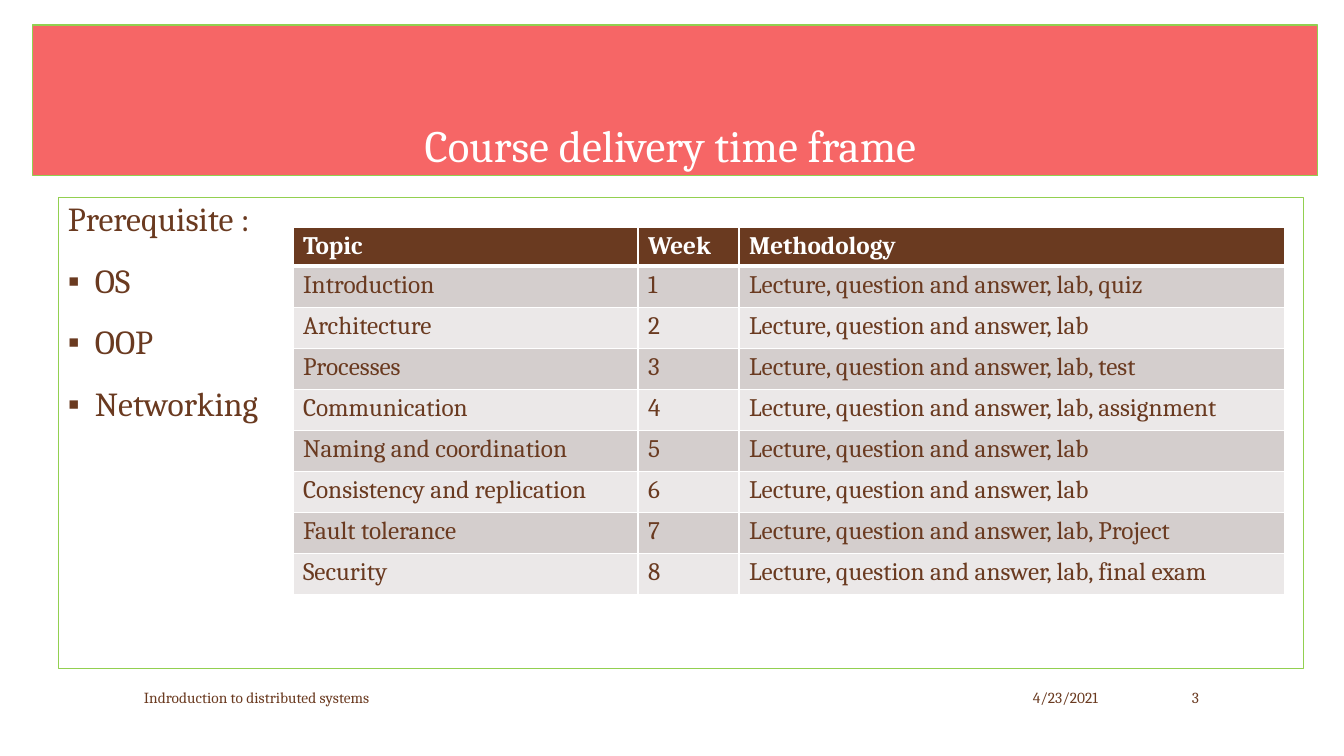
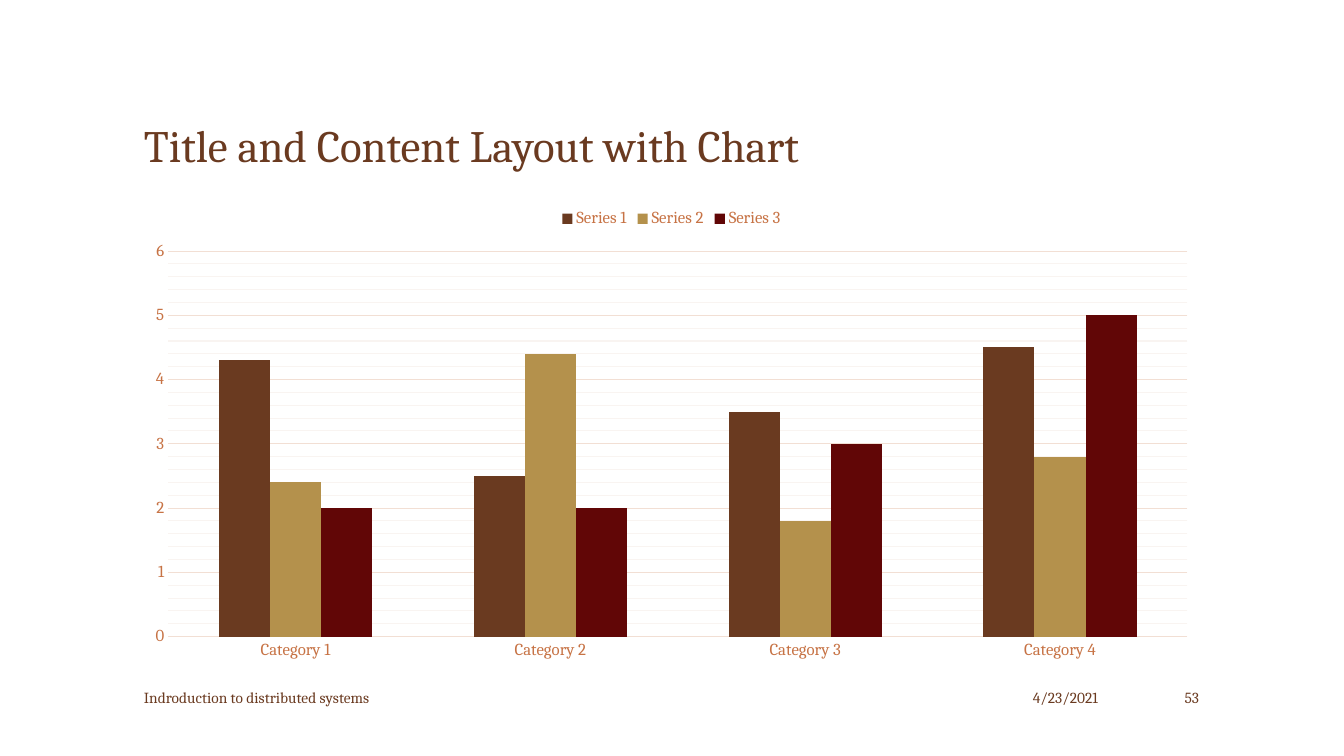
from copy import deepcopy
from dataclasses import dataclass

from lxml.etree import SubElement
from pptx import Presentation
from pptx.chart.data import CategoryChartData
from pptx.dml.color import RGBColor
from pptx.enum.chart import XL_CHART_TYPE, XL_LEGEND_POSITION, XL_TICK_MARK
from pptx.enum.shapes import MSO_SHAPE
from pptx.enum.text import MSO_ANCHOR, PP_ALIGN
from pptx.oxml.ns import qn
from pptx.util import Pt

EMU_PER_PIXEL = 914400 / 100.8


@dataclass(frozen=True)
class Theme:
    font: str = "Cambria"
    brown: str = "6A3A20"
    white: str = "FFFFFF"
    coral: str = "F66666"
    green: str = "92D050"
    bands: tuple = ("D4CECD", "EBE8E8")
    series: tuple = ("6A3A20", "B4914C", "610606")
    axis_text: str = "C77345"
    grid: str = "F2DFD4"
    minor_grid: str = "F9F4F1"
    title_size: int = 32
    body_size: int = 24
    table_size: int = 18
    chart_size: int = 12
    footer_size: int = 11
    hairline: float = 0.75


THEME = Theme()


def px(length):
    return round(length * EMU_PER_PIXEL)


def emu(box):
    return [px(length) for length in box]


def rgb(color):
    return RGBColor.from_string(color)


def apply(target, **values):
    for name, value in values.items():
        setattr(target, name, value)


def paint(fill, color):
    fill.solid()
    fill.fore_color.rgb = rgb(color)


def draw_line(line, color):
    line.color.rgb = rgb(color)
    line.width = Pt(THEME.hairline)


def style_font(font, size, color, bold=False):
    apply(font, name=THEME.font, size=Pt(size), bold=bold)
    font.color.rgb = rgb(color)


def write(paragraph, text, size, color, **layout):
    run = paragraph.add_run()
    run.text = text
    style_font(run.font, size, color)
    apply(paragraph, **layout)


def add_label(slide, box, text, size, anchor, align=PP_ALIGN.LEFT):
    label = slide.shapes.add_textbox(*emu(box))
    apply(label.text_frame, word_wrap=True, vertical_anchor=anchor)
    write(label.text_frame.paragraphs[0], text, size, THEME.brown, alignment=align)


def add_frame(slide, box, anchor, fill=None):
    frame = slide.shapes.add_shape(MSO_SHAPE.RECTANGLE, *emu(box))
    frame.shadow.inherit = False
    if fill:
        paint(frame.fill, fill)
    else:
        frame.fill.background()
    draw_line(frame.line, THEME.green)
    apply(frame.text_frame, word_wrap=True, vertical_anchor=anchor)
    return frame.text_frame


def add_title_band(slide, box, text):
    band = add_frame(slide, box, MSO_ANCHOR.BOTTOM, THEME.coral)
    write(band.paragraphs[0], text, THEME.title_size, THEME.white,
          alignment=PP_ALIGN.CENTER)


def add_footer(slide, box, page):
    left, top, width, height = box
    right = left + width
    parts = (
        (left, 817, "Indroduction to distributed systems", PP_ALIGN.LEFT),
        (right - 235, 134, "4/23/2021", PP_ALIGN.RIGHT),
        (right - 78, 78, page, PP_ALIGN.RIGHT),
    )
    for part_left, part_width, text, align in parts:
        add_label(slide, (part_left, top, part_width, height), text,
                  THEME.footer_size, MSO_ANCHOR.MIDDLE, align)


def set_bullet(paragraph, indent):
    properties = paragraph._p.get_or_add_pPr()
    properties.set("marL", str(px(indent)))
    properties.set("indent", str(-px(indent)))
    color = SubElement(properties, qn("a:buClr"))
    SubElement(color, qn("a:srgbClr"), val=THEME.brown)
    SubElement(properties, qn("a:buFont"), typeface="Arial")
    SubElement(properties, qn("a:buChar"), char="▪")


def add_prerequisites(slide, box, heading, items):
    panel = add_frame(slide, box, MSO_ANCHOR.TOP)
    for index, text in enumerate([heading, *items]):
        paragraph = panel.add_paragraph() if index else panel.paragraphs[0]
        write(paragraph, text, THEME.body_size, THEME.brown,
              alignment=PP_ALIGN.LEFT, line_spacing=0.9, space_before=Pt(18))
        if index:
            set_bullet(paragraph, 27)


def set_borders(cell, color, widths):
    properties = cell._tc.get_or_add_tcPr()
    for index, (side, width) in enumerate(widths.items()):
        border = SubElement(properties, qn(f"a:ln{side}"), w=str(Pt(width)))
        SubElement(SubElement(border, qn("a:solidFill")), qn("a:srgbClr"), val=color)
        properties.insert(index, border)


def add_schedule(slide, box, header, topics, column_widths):
    header_height, row_height = 38, 41
    rows = [header] + [
        (topic, str(week), ", ".join(["Lecture, question and answer, lab", *extra]))
        for week, (topic, *extra) in enumerate(topics, 1)
    ]
    schedule = slide.shapes.add_table(len(rows), len(header), *emu(box)).table
    apply(schedule, first_row=False, horz_banding=False)
    for column, width in zip(schedule.columns, column_widths):
        column.width = px(width)
    for row_index, texts in enumerate(rows):
        is_header = row_index == 0
        schedule.rows[row_index].height = px(header_height if is_header else row_height)
        background = THEME.brown if is_header else THEME.bands[(row_index - 1) % 2]
        color = THEME.white if is_header else THEME.brown
        widths = {"L": 1, "R": 1, "T": 3 if row_index == 1 else 1,
                  "B": 3 if is_header else 1}
        for column_index, text in enumerate(texts):
            cell = schedule.cell(row_index, column_index)
            paint(cell.fill, background)
            set_borders(cell, THEME.white, widths)
            paragraph = cell.text_frame.paragraphs[0]
            write(paragraph, text, THEME.table_size, color)
            paragraph.runs[0].font.bold = is_header


def draw_gridlines(axis):
    draw_line(axis.major_gridlines.format.line, THEME.grid)
    major = axis._element.find(qn("c:majorGridlines"))
    minor = axis._element.find(qn("c:minorGridlines"))
    minor.append(deepcopy(major.find(qn("c:spPr"))))
    for color in minor.iter(qn("a:srgbClr")):
        color.set("val", THEME.minor_grid)


def add_series_chart(slide, box, categories, values):
    data = CategoryChartData()
    data.categories = categories
    for name, numbers in values.items():
        data.add_series(name, numbers)
    chart = slide.shapes.add_chart(
        XL_CHART_TYPE.COLUMN_CLUSTERED, *emu(box), data).chart
    apply(chart, has_title=False, has_legend=True)
    apply(chart.legend, position=XL_LEGEND_POSITION.TOP, include_in_layout=False)
    for part_font in (chart.font, chart.legend.font,
                      chart.category_axis.tick_labels.font,
                      chart.value_axis.tick_labels.font):
        style_font(part_font, THEME.chart_size, THEME.axis_text)

    apply(chart.category_axis, major_tick_mark=XL_TICK_MARK.NONE,
          minor_tick_mark=XL_TICK_MARK.NONE)
    draw_line(chart.category_axis.format.line, THEME.grid)
    scale = chart.value_axis
    apply(scale, minimum_scale=0, maximum_scale=6, major_unit=1, minor_unit=0.2,
          has_major_gridlines=True, has_minor_gridlines=True,
          major_tick_mark=XL_TICK_MARK.NONE, minor_tick_mark=XL_TICK_MARK.NONE)
    scale.format.line.fill.background()
    draw_gridlines(scale)

    columns = chart.plots[0]
    apply(columns, gap_width=199, overlap=0, vary_by_categories=False)
    for series, color in zip(columns.series, THEME.series):
        paint(series.format.fill, color)
        series.invert_if_negative = False


FOOTER_BOX = (134, 680, 1075, 34)


def build_course_slide(slide):
    add_title_band(slide, (33, 25, 1285, 151), "Course delivery time frame ")
    add_prerequisites(slide, (58, 198, 1246, 471), "Prerequisite :",
                      ("OS", "OOP", "Networking"))
    topics = (
        ("Introduction", "quiz"),
        ("Architecture",),
        ("Processes", "test"),
        ("Communication", "assignment"),
        ("Naming and coordination",),
        ("Consistency and replication",),
        ("Fault tolerance", "Project"),
        ("Security", "final exam"),
    )
    add_schedule(slide, (293, 227, 992, 366), ("Topic", "Week", "Methodology"),
                 topics, (345, 101, 546))
    add_footer(slide, FOOTER_BOX, "3")


def build_chart_slide(slide):
    add_label(slide, (134, 47, 1075, 129), "Title and Content Layout with Chart",
              THEME.title_size, MSO_ANCHOR.BOTTOM)
    add_series_chart(
        slide, (134, 198, 1075, 471),
        [f"Category {number}" for number in range(1, 5)],
        {"Series 1": (4.3, 2.5, 3.5, 4.5),
         "Series 2": (2.4, 4.4, 1.8, 2.8),
         "Series 3": (2, 2, 3, 5)})
    add_footer(slide, FOOTER_BOX, "53")


deck = Presentation()
apply(deck, slide_width=px(1344), slide_height=px(756))
for build in (build_course_slide, build_chart_slide):
    build(deck.slides.add_slide(deck.slide_layouts[6]))
deck.save("out.pptx")
